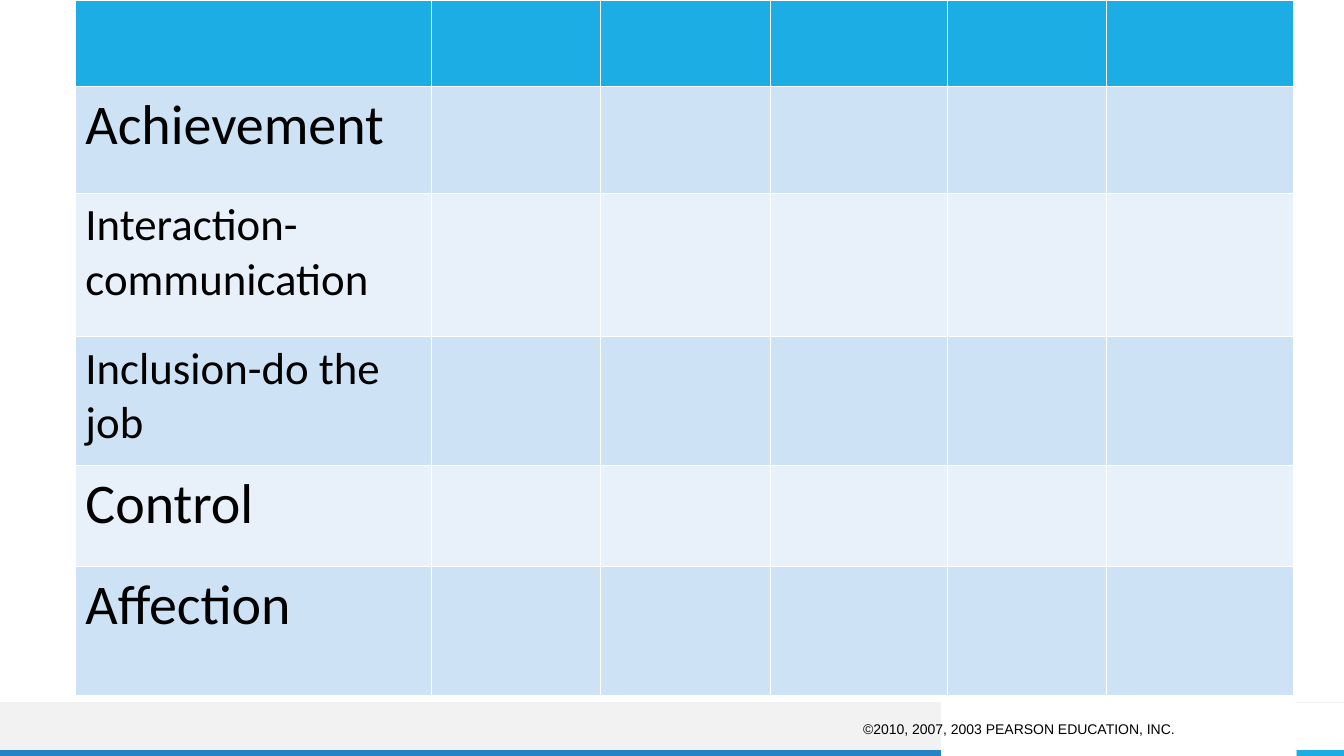
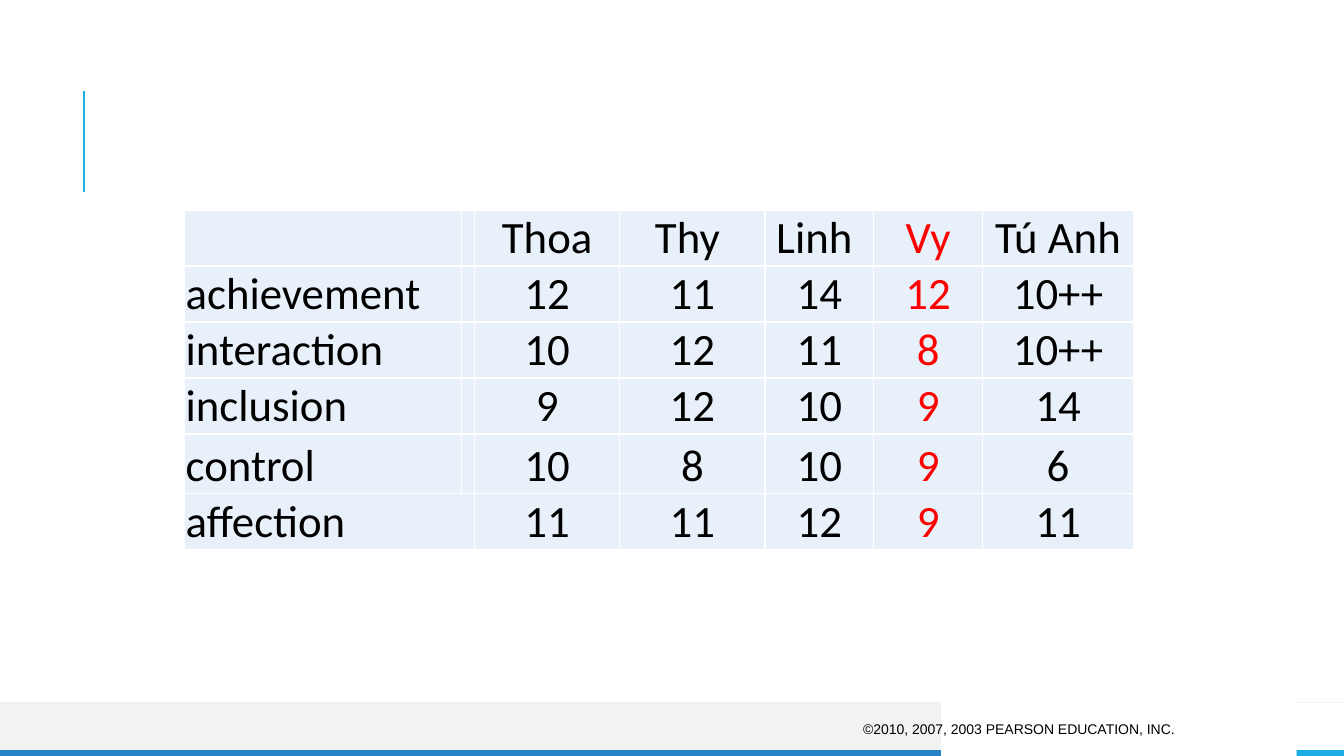
from lxml.etree import SubElement
from pptx import Presentation
from pptx.dml.color import RGBColor
from pptx.enum.shapes import MSO_CONNECTOR as Link, MSO_SHAPE as Shape
from pptx.enum.text import MSO_ANCHOR as Anchor, PP_ALIGN as Align
from pptx.oxml.ns import qn
from pptx.util import Cm, Pt

WIDE, HIGH = 33.87, 19.05
BAND, STRIP = 17.7, 18.9

COLORS = {
    "sky": "1CADE4",
    "blue": "2683C6",
    "gray": "F2F2F2",
    "white": "FFFFFF",
    "black": "000000",
    "red": "FF0000",
    "dark": "CDE3F5",
    "light": "E8F1FA",
}

NOTICE = "©2010, 2007, 2003 PEARSON EDUCATION, INC."

NEEDS = [
    ("", 18),
    ("Achievement", 40),
    ("Interaction-communication", 32),
    ("Inclusion-do the job", 32),
    ("Control", 40),
    ("Affection", 40),
]

SCORES = [
    ["", "", "Thoa", "Thy ", "Linh ", "Vy", "Tú Anh"],
    ["achievement", "", "12", "11", "14", "12", "10++"],
    ["interaction", "", "10", "12", "11", "8", "10++"],
    ["inclusion", "", "9", "12", "10", "9", "14"],
    ["control", "", "10", "8", "10", "9", "6"],
    ["affection", "", "11", "11", "12", "9", "11"],
]


def shade(name):
    return RGBColor.from_string(COLORS[name])


def add_box(slide, left, top, width, height, color):
    box = slide.shapes.add_shape(Shape.RECTANGLE, Cm(left), Cm(top), Cm(width), Cm(height))
    box.shadow.inherit = False
    box.fill.solid()
    box.fill.fore_color.rgb = shade(color)
    box.line.fill.background()


def add_line(slide, start, end, color, weight):
    line = slide.shapes.add_connector(Link.STRAIGHT, *map(Cm, start + end))
    line.line.color.rgb = shade(color)
    line.line.width = Pt(weight)
    SubElement(line._element.spPr, qn("a:effectLst"))


def style(para, size, font="Calibri", color="black", align=Align.LEFT):
    para.alignment = align
    para.font.size = Pt(size)
    para.font.name = font
    para.font.color.rgb = shade(color)


def add_frame(slide):
    add_box(slide, 0, BAND, 27.18, STRIP - BAND, "gray")
    add_box(slide, 0, STRIP, 27.18, HIGH - STRIP, "blue")
    add_box(slide, 32.67, STRIP, WIDE - 32.67, HIGH - STRIP, "sky")
    add_line(slide, (0, BAND), (WIDE, BAND), "gray", 0.75)
    add_box(slide, 23.72, 15.93, 8.95, HIGH - 15.93, "white")


def add_notice(slide):
    frame = slide.shapes.add_textbox(Cm(13.46), Cm(17.98), Cm(16.39), Cm(0.76)).text_frame
    frame.word_wrap = True
    frame.vertical_anchor = Anchor.MIDDLE
    frame.text = NOTICE
    style(frame.paragraphs[0], 10, "Arial", align=Align.RIGHT)


def add_grid(slide, left, top, cols, rows):
    grid = slide.shapes.add_table(
        len(rows), len(cols), Cm(left), Cm(top), Cm(sum(cols)), Cm(sum(rows))
    ).table
    grid.first_row = grid.horz_banding = False
    for col, width in zip(grid.columns, cols):
        col.width = Cm(width)
    for row, height in zip(grid.rows, rows):
        row.height = Cm(height)
    return grid


def paint(cell, color):
    props = cell._tc.get_or_add_tcPr()
    for side in ("lnL", "lnR", "lnT", "lnB"):
        edge = SubElement(props, qn("a:" + side), w=str(Pt(1)))
        fill = SubElement(edge, qn("a:solidFill"))
        SubElement(fill, qn("a:srgbClr"), val=COLORS["white"])
    cell.fill.solid()
    cell.fill.fore_color.rgb = shade(color)


def add_needs(slide):
    grid = add_grid(
        slide, 1.9, 0,
        [8.97, 4.27, 4.27, 4.47, 4.01, 4.72],
        [2.18, 2.69, 3.61, 3.25, 2.54, 3.25],
    )
    for i, (row, (text, size)) in enumerate(zip(grid.rows, NEEDS)):
        color = "sky" if i == 0 else "dark" if i % 2 else "light"
        for cell in row.cells:
            paint(cell, color)
        if text:
            row.cells[0].text = text
            style(row.cells[0].text_frame.paragraphs[0], size)


def add_scores(slide):
    grid = add_grid(
        slide, 4.65, 5.29,
        [6.98, 0.33, 3.66, 3.66, 2.74, 2.74, 3.81],
        [1.4, 1.4, 1.4, 1.4, 1.5, 1.4],
    )
    for row, texts in zip(grid.rows, SCORES):
        for j, (cell, text) in enumerate(zip(row.cells, texts)):
            paint(cell, "light")
            cell.vertical_anchor = Anchor.BOTTOM
            cell.margin_left = cell.margin_right = cell.margin_top = Cm(0.03)
            cell.margin_bottom = 0
            if text:
                cell.text = text
                style(
                    cell.text_frame.paragraphs[0], 32,
                    color="red" if j == 5 else "black",
                    align=Align.CENTER if j else Align.LEFT,
                )
    grid.cell(5, 0).merge(grid.cell(5, 1))


def main():
    deck = Presentation()
    deck.slide_width, deck.slide_height = Cm(WIDE), Cm(HIGH)
    blank = deck.slide_layouts[6]
    for add_table in (add_needs, add_scores):
        slide = deck.slides.add_slide(blank)
        add_frame(slide)
        add_table(slide)
        add_notice(slide)
    add_line(slide, (2.11, 4.83), (2.11, 2.29), "sky", 1.5)
    deck.save("out.pptx")


if __name__ == "__main__":
    main()
